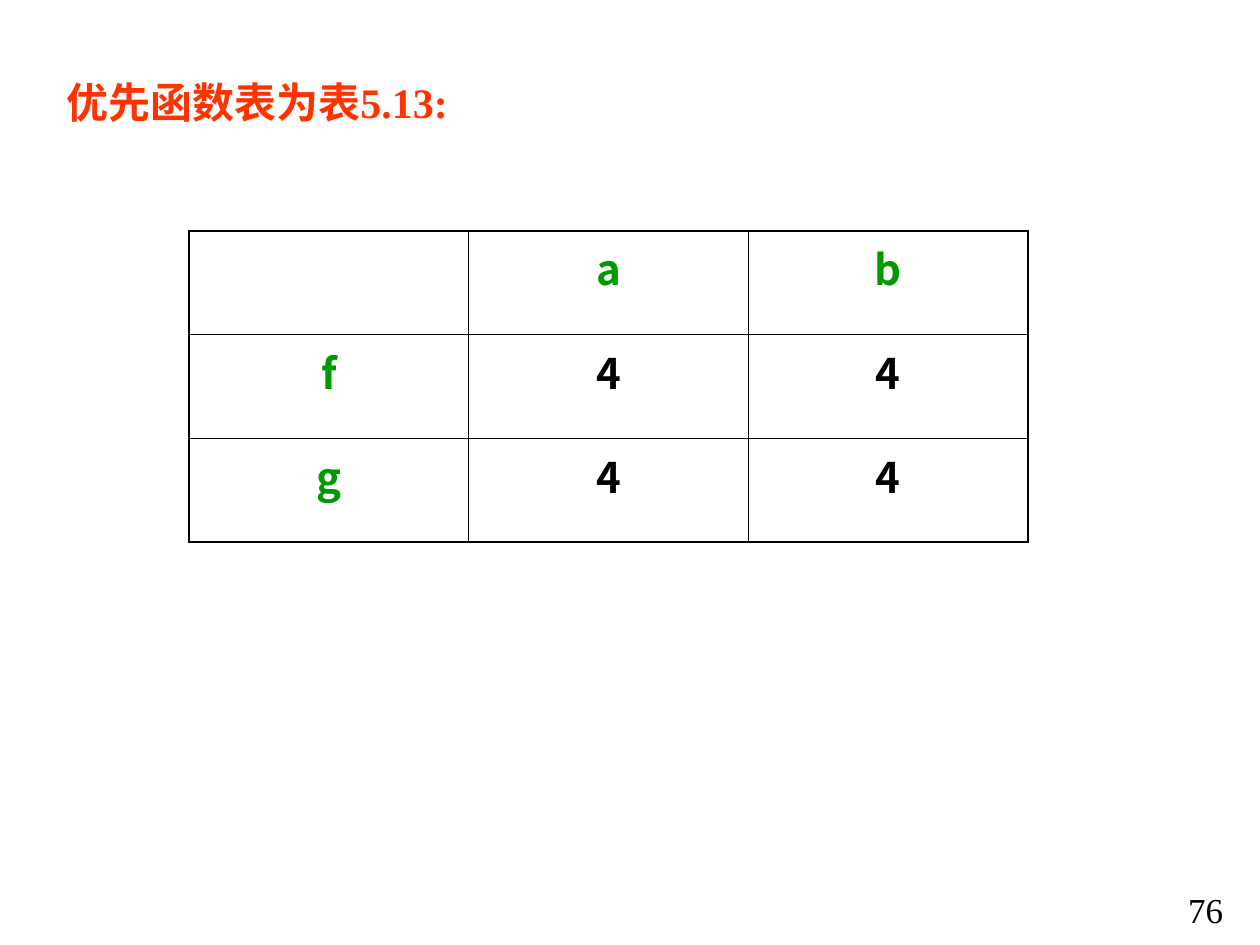
from dataclasses import dataclass

from lxml.etree import SubElement
from pptx import Presentation
from pptx.dml.color import RGBColor
from pptx.enum.text import PP_ALIGN as Align
from pptx.oxml.ns import qn
from pptx.util import Cm, Pt


@dataclass(frozen=True)
class Theme:
    latin_font: str = "Times New Roman"
    chinese_font: str = "Noto Sans CJK SC"
    title_color: str = "FF3300"
    header_color: str = "009900"
    text_color: str = "000000"
    background: str = "FFFFFF"
    body_size: int = 24
    page_size: int = 20
    outer_line: float = 1.08
    inner_line: float = 0.45


class SlideBuilder:
    def __init__(self, slide, theme):
        self.slide = slide
        self.theme = theme

    def format_paragraph(self, paragraph, font_name, size, color, bold):
        for run in paragraph.runs:
            run.font.name = font_name
            run.font.size = Pt(size)
            run.font.bold = bold
            run.font.color.rgb = RGBColor.from_string(color)
            east_asian = SubElement(run.font._element, qn("a:ea"))
            east_asian.set("typeface", self.theme.chinese_font)

    def add_text(self, text, left, top, width, height, size, color, bold=False):
        box = self.slide.shapes.add_textbox(Cm(left), Cm(top), Cm(width), Cm(height))
        box.text_frame.word_wrap = True
        box.text_frame.text = text
        self.format_paragraph(
            box.text_frame.paragraphs[0], self.theme.latin_font, size, color, bold
        )

    def add_table(self, rows, left, top, column_width, row_height):
        """Add a grid whose first row and first column are headers."""
        row_count, column_count = len(rows), len(rows[0])
        table = self.slide.shapes.add_table(
            row_count, column_count, Cm(left), Cm(top),
            Cm(column_width * column_count), Cm(row_height * row_count),
        ).table
        table.first_row = table.horz_banding = False
        for row_index, row in enumerate(rows):
            for column_index, text in enumerate(row):
                outer_edges = {
                    "L": column_index == 0,
                    "R": column_index == column_count - 1,
                    "T": row_index == 0,
                    "B": row_index == row_count - 1,
                }
                is_header = row_index == 0 or column_index == 0
                self.fill_cell(
                    table.cell(row_index, column_index), text, is_header, outer_edges
                )

    def fill_cell(self, cell, text, is_header, outer_edges):
        theme = self.theme
        cell.text_frame.text = text
        paragraph = cell.text_frame.paragraphs[0]
        paragraph.alignment = Align.CENTER
        color = theme.header_color if is_header else theme.text_color
        self.format_paragraph(
            paragraph, theme.chinese_font, theme.body_size, color, True
        )
        self.set_borders(cell, outer_edges)
        cell.fill.background()

    def set_borders(self, cell, outer_edges):
        properties = cell._tc.get_or_add_tcPr()
        for side, is_outer in outer_edges.items():
            width = self.theme.outer_line if is_outer else self.theme.inner_line
            line = SubElement(properties, qn(f"a:ln{side}"), w=str(Pt(width)))
            fill = SubElement(line, qn("a:solidFill"))
            SubElement(fill, qn("a:srgbClr"), val=self.theme.text_color)


def main():
    theme = Theme()
    presentation = Presentation()
    presentation.slide_width, presentation.slide_height = Cm(25.4), Cm(19.05)
    slide = presentation.slides.add_slide(presentation.slide_layouts[6])
    slide.background.fill.solid()
    slide.background.fill.fore_color.rgb = RGBColor.from_string(theme.background)

    builder = SlideBuilder(slide, theme)
    builder.add_text("76", 23.7, 17.78, 1.7, 1.12, theme.page_size, theme.text_color)
    builder.add_text(
        "优先函数表为表5.13:", 1.09, 1.42, 23.22, 1.47,
        theme.body_size, theme.title_color, bold=True,
    )
    priorities = [["", "a", "b"], ["f", "4", "4"], ["g", "4", "4"]]
    builder.add_table(priorities, 3.81, 4.65, column_width=5.64, row_height=2.09)
    presentation.save("out.pptx")


if __name__ == "__main__":
    main()
